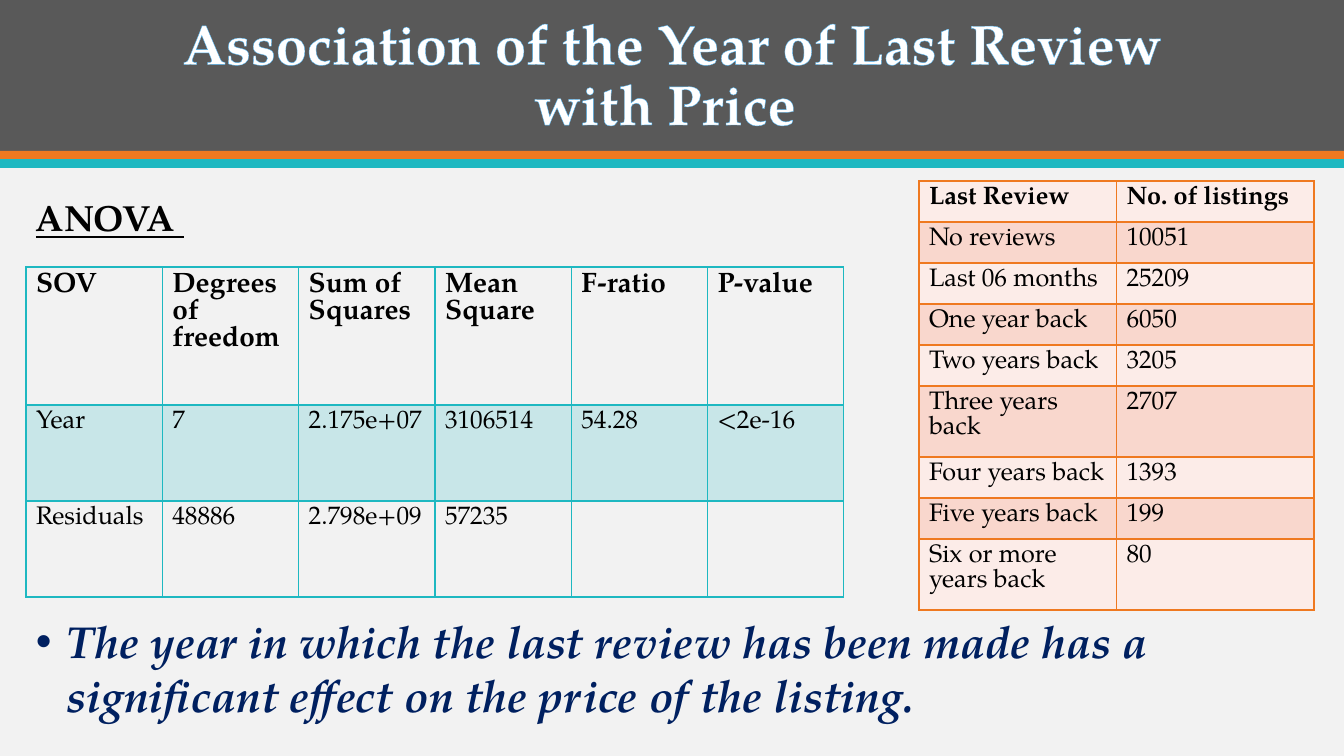
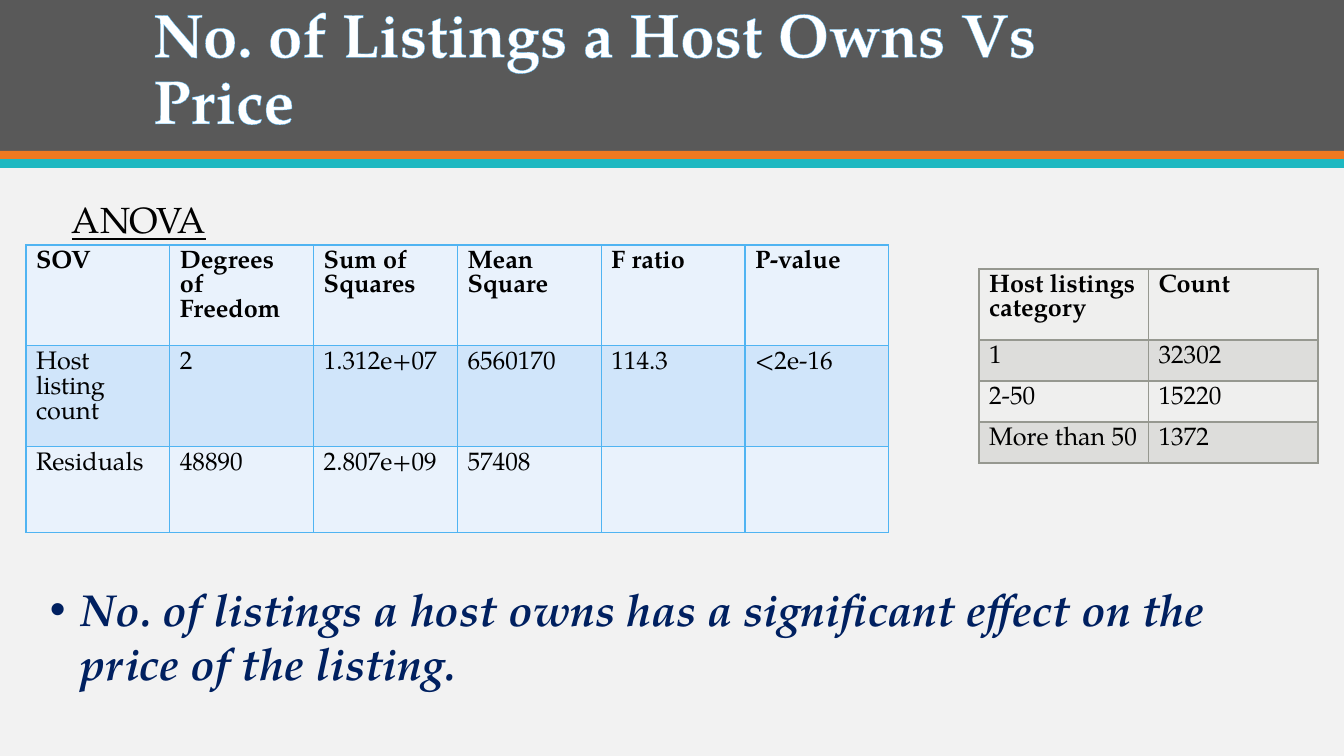
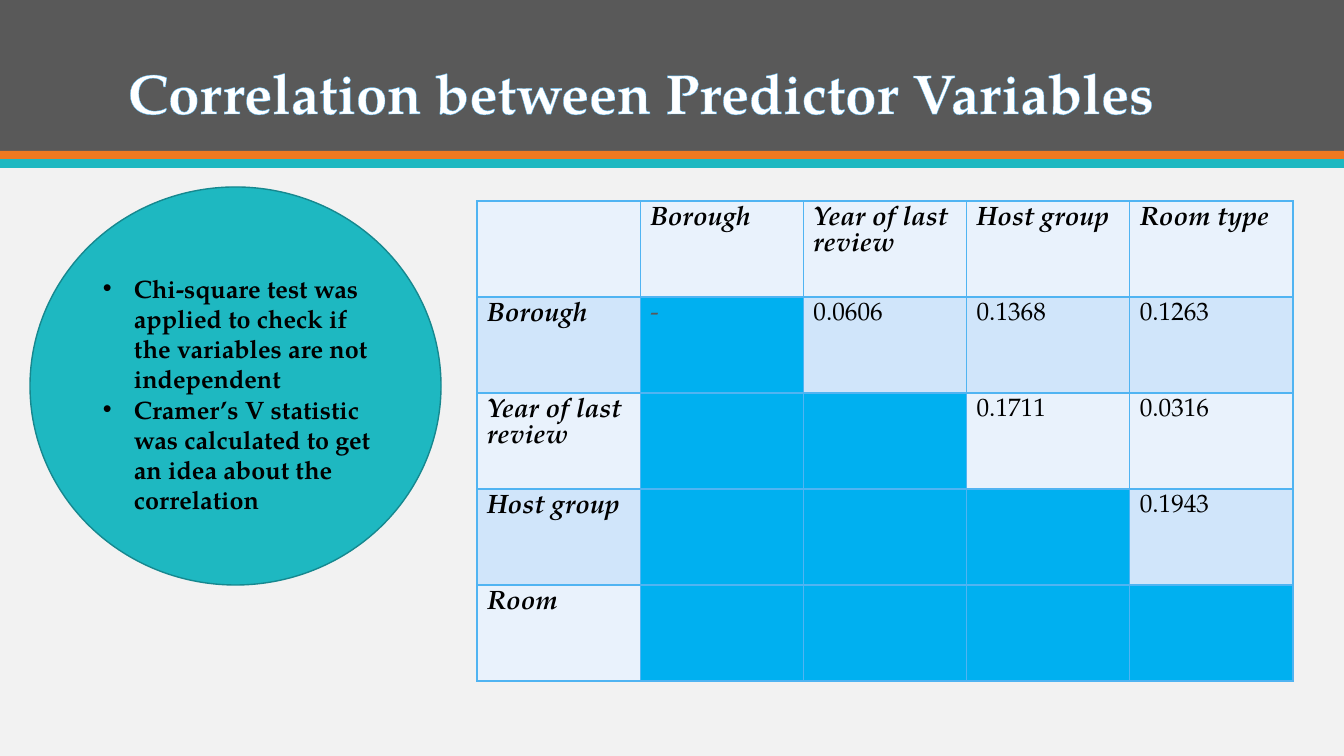
from lxml import etree
from pptx import Presentation
from pptx.dml.color import RGBColor
from pptx.enum.shapes import MSO_SHAPE as Shape
from pptx.enum.text import MSO_ANCHOR as Anchor, PP_ALIGN as Align
from pptx.oxml.ns import qn
from pptx.util import Pt

# Shared look
PX = 9144000 / 1008
WIDTH, HEIGHT = 1344, 756
FONT = "TeX Gyre Pagella"
COLORS = {
    "page": "F2F2F2", "header": "595959", "orange": "EF7920", "teal": "1EB8C1",
    "teal dark": "16888F", "teal pale": "C8E6E8", "white": "FFFFFF",
    "black": "000000", "navy": "002060", "gray": "969890",
    "gray light": "EFEFEE", "gray mid": "DDDDDB", "rose light": "FCECE8",
    "rose mid": "F9D7CD", "sky": "50B4F2", "sky light": "E9F2FC",
    "sky mid": "D0E5FA", "cyan": "00B0F0",
}
BANDS = [(0, 151, "header"), (151, 8, "orange"), (159, 9, "teal")]

# Table themes: border colour, then fills of even and odd rows
THEMES = {
    "teal": ("teal", None, "teal pale"),
    "rose": ("orange", "rose light", "rose mid"),
    "sky": ("sky", "sky light", "sky mid"),
    "gray": ("gray", "gray light", "gray mid"),
}

# Content
SLIDES = [
    {
        "title": ("Association of the Year of Last Review with Price ", (143, 28), 40, Align.CENTER),
        "heading": ("ANOVA ", (26, 173), True),
        "finding": ("The year in which the last review has been made has a "
                    "significant effect on the price of the listing.", (26, 609)),
        "tables": [
            {"at": (26, 267, 818), "heights": [138, 96, 96], "theme": "teal",
             "header size": 20, "header rule": 2, "rows": [
                 ["SOV", "Degrees of freedom", "Sum of Squares", "Mean Square", "F-ratio", "P-value"],
                 ["Year", "7", "2.175e+07", "3106514", "54.28", "<2e-16"],
                 ["Residuals", "48886", "2.798e+09", "57235", "", ""]]},
            {"at": (919, 181, 395), "heights": [41, 41, 41, 41, 41, 71, 41, 41, 71],
             "theme": "rose", "rows": [
                 ["Last Review", "No. of listings"],
                 ["No reviews", "10051"],
                 ["Last 06 months", "25209"],
                 ["One year back", "6050"],
                 ["Two years back", "3205"],
                 ["Three years back", "2707"],
                 ["Four years back", "1393"],
                 ["Five years back", "199"],
                 ["Six or more years back", "80"]]},
        ],
    },
    {
        "title": ("No. of Listings a Host Owns Vs\nPrice", (143, 28), 44, Align.LEFT),
        "heading": ("ANOVA", (62, 175), False),
        "finding": ("No. of listings a host owns has a significant effect on the "
                    "price of the listing.", (40, 577)),
        "tables": [
            {"at": (26, 245, 863), "heights": [86, 86, 86], "theme": "sky", "rows": [
                ["SOV", "Degrees of Freedom", "Sum of Squares", "Mean Square", "F ratio", "P-value"],
                ["Host listing count", "2", "1.312e+07", "6560170", "114.3", "<2e-16"],
                ["Residuals", "48890", "2.807e+09", "57408", "", ""]]},
            {"at": (979, 269, 339), "heights": [71, 41, 41, 41], "theme": "gray", "rows": [
                ["Host listings category", "Count"],
                ["1", "32302"],
                ["2-50", "15220"],
                ["More than 50", "1372"]]},
        ],
    },
    {
        "title": ("Correlation between Predictor Variables", (118, 17), 40, Align.LEFT),
        "tables": [
            {"at": (477, 201, 816), "heights": [96] * 5, "theme": "sky",
             "header size": 19, "matrix": True, "rows": [
                 ["", "Borough", "Year of last review", "Host group", "Room type"],
                 ["Borough", "-", "0.0606", "0.1368", "0.1263"],
                 ["Year of last review", "", "", "0.1711", "0.0316"],
                 ["Host group", "", "", "", "0.1943"],
                 ["Room", "", "", "", ""]]},
        ],
        "notes": ["Chi-square test was applied to check if the variables are not independent",
                  "Cramer’s V statistic was calculated to get an idea about the correlation"],
    },
]


def px(*values):
    return [round(value * PX) for value in values]


def rgb(name):
    return RGBColor.from_string(COLORS[name])


def style(para, size, color, bold=False, italic=False, underline=False):
    font = para.font
    font.name, font.size, font.bold, font.italic = FONT, Pt(size), bold, italic
    font.underline = underline
    font.color.rgb = rgb(color)


def add_line(parent, tag, position, color, points):
    line = etree.Element(qn(tag), w=str(Pt(points)))
    fill = etree.SubElement(line, qn("a:solidFill"))
    etree.SubElement(fill, qn("a:srgbClr"), val=COLORS[color])
    parent.insert(position, line)


def add_shape(page, kind, box, fill, line=None):
    shape = page.shapes.add_shape(kind, *px(*box))
    shape.shadow.inherit = False
    shape.fill.solid()
    shape.fill.fore_color.rgb = rgb(fill)
    if line:
        shape.line.color.rgb = rgb(line)
        shape.line.width = Pt(1)
    else:
        shape.line.fill.background()


def add_text(page, box, texts, anchor=Anchor.TOP, bullet=False, align=Align.LEFT,
             spacing=None, **look):
    frame = page.shapes.add_textbox(*px(*box)).text_frame
    frame.word_wrap = True
    frame.vertical_anchor = anchor
    for index, text in enumerate(texts):
        para = frame.add_paragraph() if index else frame.paragraphs[0]
        para.text = text
        para.alignment = align
        if spacing:
            para.line_spacing = spacing
        if bullet:
            props = para._p.get_or_add_pPr()
            indent, = px(31)
            props.set("marL", str(indent))
            props.set("indent", str(-indent))
            etree.SubElement(props, qn("a:buFont"), typeface="Arial")
            etree.SubElement(props, qn("a:buChar"), char="•")
        style(para, **look)
    return frame


def add_title(page, text, place, size, align):
    frame = add_text(page, (*place, 1058, 114), [text], Anchor.BOTTOM, align=align,
                     spacing=0.9, size=size, color="white", bold=True)
    for run in frame.paragraphs[0].runs:
        add_line(run._r.get_or_add_rPr(), "a:ln", 0, "sky", 0.8)


def add_table(page, spec):
    rows, heights = spec["rows"], spec["heights"]
    matrix = spec.get("matrix", False)
    border, *fills = THEMES[spec["theme"]]
    left, top, width = spec["at"]
    count = len(rows[0])
    table = page.shapes.add_table(len(rows), count, *px(left, top, width, sum(heights))).table
    table.first_row = table.horz_banding = False
    for column in table.columns:
        column.width, = px(width / count)
    for row_index, row in enumerate(rows):
        table.rows[row_index].height, = px(heights[row_index])
        for column_index, text in enumerate(row):
            cell = table.cell(row_index, column_index)
            # Label cells stand out; the lower triangle of a matrix is blocked
            label = row_index == 0 or (matrix and column_index == 0)
            blocked = matrix and 0 < column_index <= row_index
            fill = "cyan" if blocked else fills[row_index % 2]
            if fill:
                cell.fill.solid()
                cell.fill.fore_color.rgb = rgb(fill)
            else:
                cell.fill.background()
            para = cell.text_frame.paragraphs[0]
            para.text = text
            style(para, spec.get("header size", 18) if label else 18,
                  "header" if blocked else "black", bold=label, italic=label and matrix)
            header_rule = spec.get("header rule", 1)
            points = {"L": 1, "R": 1, "T": header_rule if row_index == 1 else 1,
                      "B": header_rule if row_index == 0 else 1}
            props = cell._tc.get_or_add_tcPr()
            for position, side in enumerate(points):
                add_line(props, f"a:ln{side}", position, border, points[side])


def build_slide(deck, content):
    page = deck.slides.add_slide(deck.slide_layouts[6])
    for top, height, color in BANDS:
        add_shape(page, Shape.RECTANGLE, (0, top, WIDTH, height), color)
    add_title(page, *content["title"])
    if "heading" in content:
        text, place, bold = content["heading"]
        add_text(page, (*place, 504, 94), [text], Anchor.MIDDLE, spacing=0.9,
                 size=26, color="black", bold=bold, underline=True)
    for spec in content["tables"]:
        add_table(page, spec)
    if "finding" in content:
        text, place = content["finding"]
        add_text(page, (*place, 1220, 119), [text], bullet=True,
                 size=32, color="navy", bold=True, italic=True)
    if "notes" in content:
        add_shape(page, Shape.OVAL, (30, 187, 411, 398), "teal", "teal dark")
        add_text(page, (93, 268, 301, 254), content["notes"], bullet=True,
                 size=18, color="black", bold=True)


def main():
    deck = Presentation()
    deck.slide_width, deck.slide_height = px(WIDTH, HEIGHT)
    background = deck.slide_master.background.fill
    background.solid()
    background.fore_color.rgb = rgb("page")
    for content in SLIDES:
        build_slide(deck, content)
    deck.save("out.pptx")


if __name__ == "__main__":
    main()
